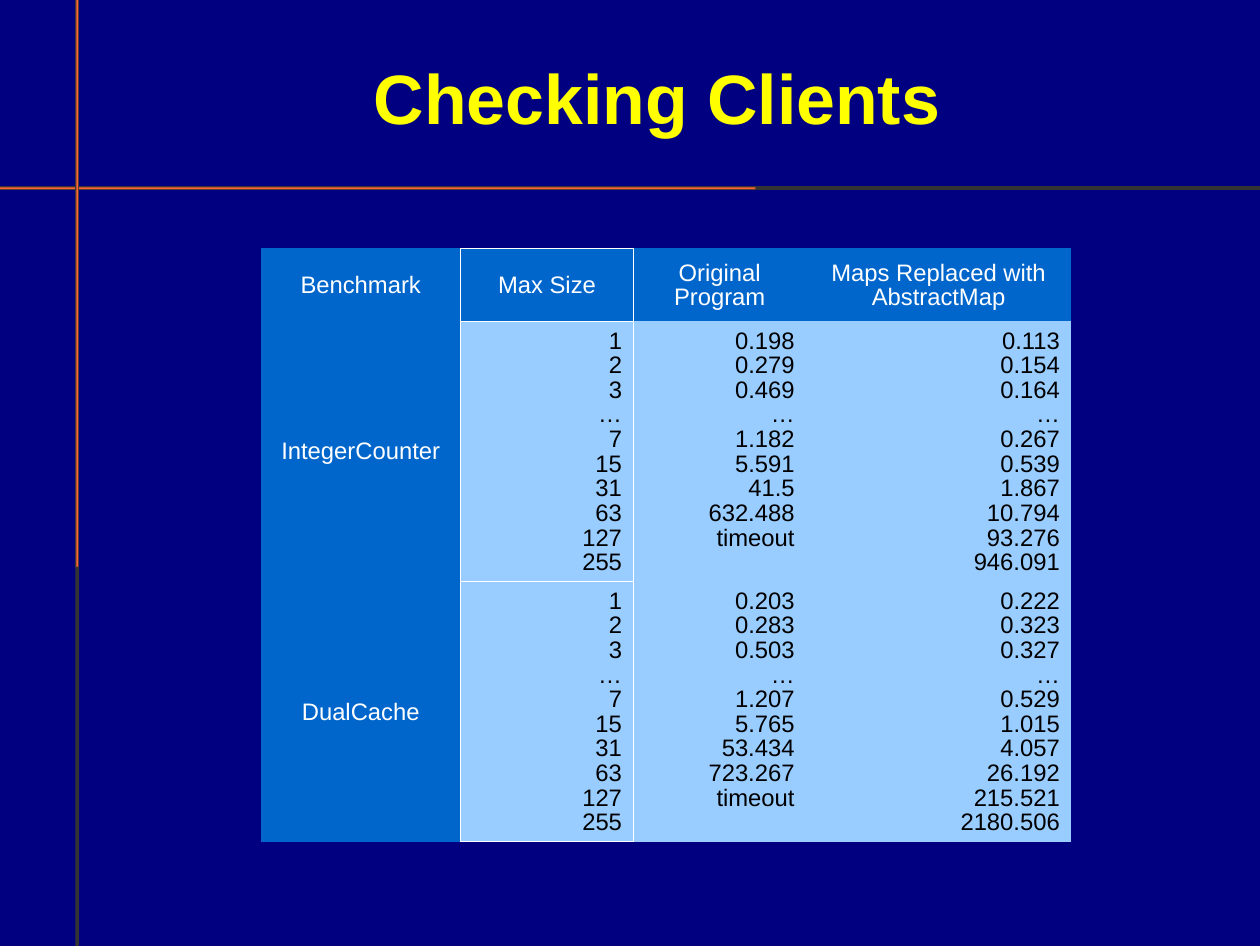
from lxml.etree import SubElement
from pptx import Presentation
from pptx.dml.color import RGBColor
from pptx.enum.shapes import MSO_SHAPE
from pptx.enum.text import MSO_ANCHOR, PP_ALIGN
from pptx.oxml import parse_xml
from pptx.oxml.ns import nsdecls, qn
from pptx.util import Inches, Pt

NAVY = RGBColor(0x00, 0x00, 0x80)
YELLOW = RGBColor(0xFF, 0xFF, 0x00)
ORANGE = RGBColor(0xFF, 0x66, 0x33)
GREY = RGBColor(0x33, 0x33, 0x33)
BLUE = RGBColor(0x00, 0x66, 0xCC)
SKY = RGBColor(0x99, 0xCC, 0xFF)
WHITE = RGBColor(0xFF, 0xFF, 0xFF)
BLACK = RGBColor(0x00, 0x00, 0x00)

WIDE, HIGH = 11.02, 8.27
TITLE = "Checking Clients"
HEADS = ["Benchmark", "Max Size", "Original\nProgram", "Maps Replaced with AbstractMap"]
SIZES = "1 2 3 … 7 15 31 63 127 255"
TIMES = [
    ("IntegerCounter", SIZES,
     "0.198 0.279 0.469 … 1.182 5.591 41.5 632.488 timeout",
     "0.113 0.154 0.164 … 0.267 0.539 1.867 10.794 93.276 946.091"),
    ("DualCache", SIZES,
     "0.203 0.283 0.503 … 1.207 5.765 53.434 723.267 timeout",
     "0.222 0.323 0.327 … 0.529 1.015 4.057 26.192 215.521 2180.506"),
]
COLS = [1.75, 1.51, 1.51, 2.32]
ROWS = [0.64, 2.27, 2.27]
RULES = [
    ((0, 1.63, WIDE, 0.03), (10, 50, 90, 50)),
    ((0.66, 0, 0.03, HIGH), (50, 10, 50, 90)),
]
THIN, THICK = Pt(0.03), Pt(1)


def add_rule(slide, box, focus):
    rule = slide.shapes.add_shape(MSO_SHAPE.RECTANGLE, *map(Inches, box))
    rule.shadow.inherit = False
    rule.line.fill.background()
    rule.fill.gradient()
    for stop, color in zip(rule.fill.gradient_stops, (ORANGE, GREY)):
        stop.color.rgb = color
    grad = rule.element.spPr.find(qn("a:gradFill"))
    edges = " ".join(f'{side}="{part * 1000}"' for side, part in zip("ltrb", focus))
    shade = parse_xml(f'<a:path {nsdecls("a")} path="shape"><a:fillToRect {edges}/></a:path>')
    grad.replace(grad.find(qn("a:lin")), shade)


def style_text(frame, size, color, align, bold=False):
    for para in frame.paragraphs:
        para.alignment = align
        para.line_spacing = 0.93
        para.space_before = para.space_after = Pt(0)
        font = para.font
        font.name, font.size, font.bold = "Arial", Pt(size), bold
        font.color.rgb = color


def add_edges(cell, col):
    props = cell._tc.get_or_add_tcPr()
    thick = {0: "R", 1: "LRTB", 2: "L"}.get(col, "")
    for spot, side in enumerate("LRTB"):
        width = THICK if side in thick else THIN
        edge = parse_xml(f'<a:ln{side} {nsdecls("a")} w="{width}"/>')
        fill = SubElement(edge, qn("a:solidFill"))
        SubElement(fill, qn("a:srgbClr"), val=str(WHITE))
        props.insert(spot, edge)


def fill_cell(cell, text, row, col):
    label = row == 0 or col == 0
    cell.text = text if label else "\n".join(text.split())
    cell.fill.solid()
    cell.fill.fore_color.rgb = BLUE if label else SKY
    cell.vertical_anchor = MSO_ANCHOR.MIDDLE if label else MSO_ANCHOR.TOP
    cell.margin_left = cell.margin_right = Inches(0.1)
    cell.margin_top, cell.margin_bottom = Inches(0.07), Inches(0.05)
    style_text(cell.text_frame, 15, WHITE if label else BLACK,
               PP_ALIGN.CENTER if label else PP_ALIGN.RIGHT)
    add_edges(cell, col)


def add_times(slide):
    grid = [HEADS, *TIMES]
    box = map(Inches, (2.28, 2.17, sum(COLS), sum(ROWS)))
    table = slide.shapes.add_table(len(ROWS), len(COLS), *box).table
    table.first_row = table.horz_banding = False
    for col, width in zip(table.columns, COLS):
        col.width = Inches(width)
    for row, height in zip(table.rows, ROWS):
        row.height = Inches(height)
    for row, texts in enumerate(grid):
        for col, text in enumerate(texts):
            fill_cell(table.cell(row, col), text, row, col)


def main():
    deck = Presentation()
    deck.slide_width, deck.slide_height = Inches(WIDE), Inches(HIGH)
    slide = deck.slides.add_slide(deck.slide_layouts[5])
    slide.background.fill.solid()
    slide.background.fill.fore_color.rgb = NAVY
    for box, focus in RULES:
        add_rule(slide, box, focus)
    title = slide.shapes.title
    title.left, title.top, title.width, title.height = map(Inches, (0.79, 0.17, 9.92, 1.38))
    frame = title.text_frame
    frame.text = TITLE
    frame.vertical_anchor = MSO_ANCHOR.MIDDLE
    frame.margin_left = frame.margin_right = frame.margin_bottom = 0
    frame.margin_top = Inches(0.04)
    style_text(frame, 44, YELLOW, PP_ALIGN.CENTER, True)
    add_times(slide)
    deck.save("out.pptx")


if __name__ == "__main__":
    main()
